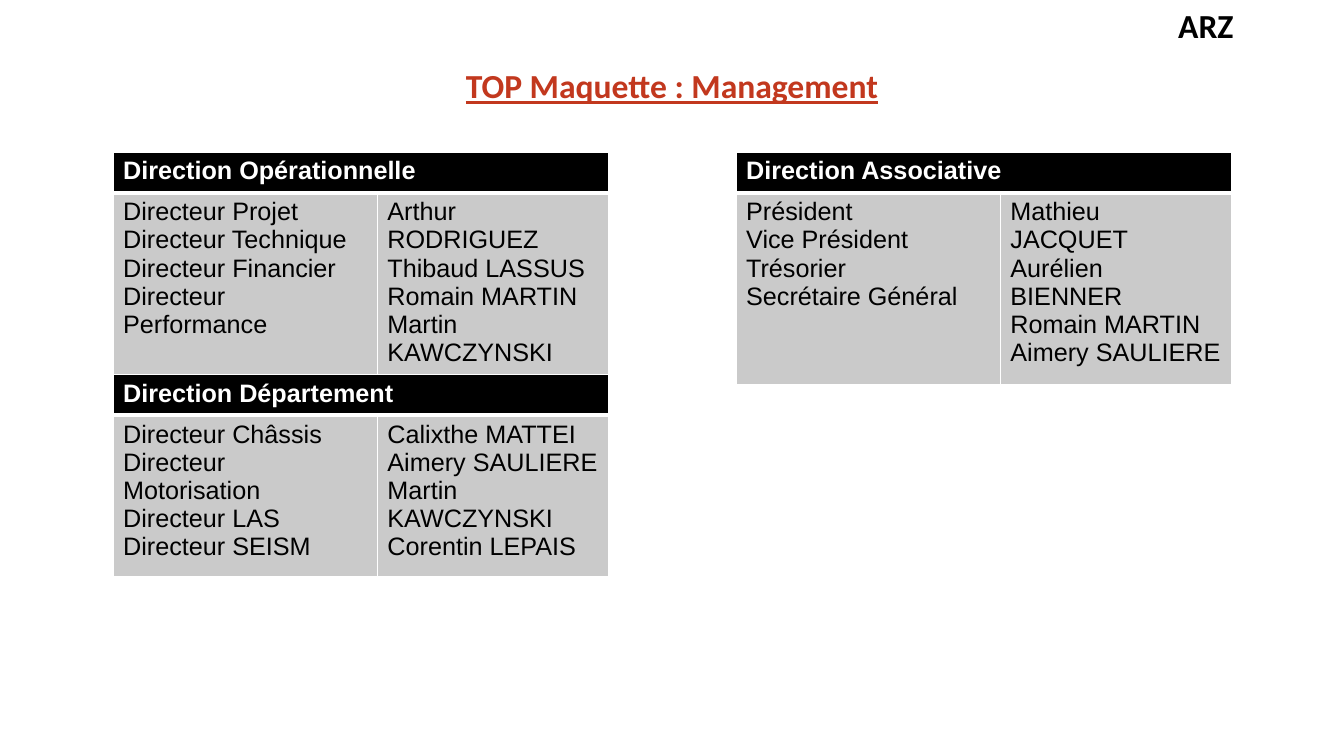
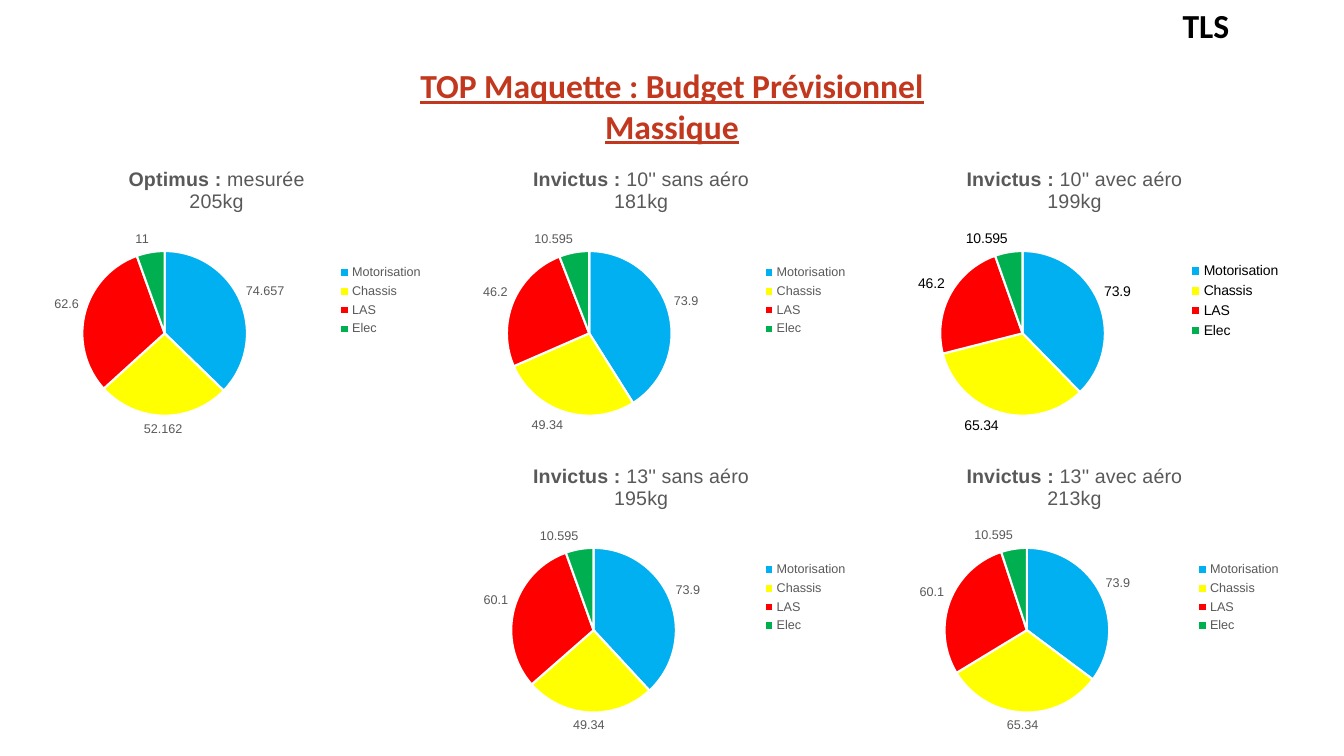
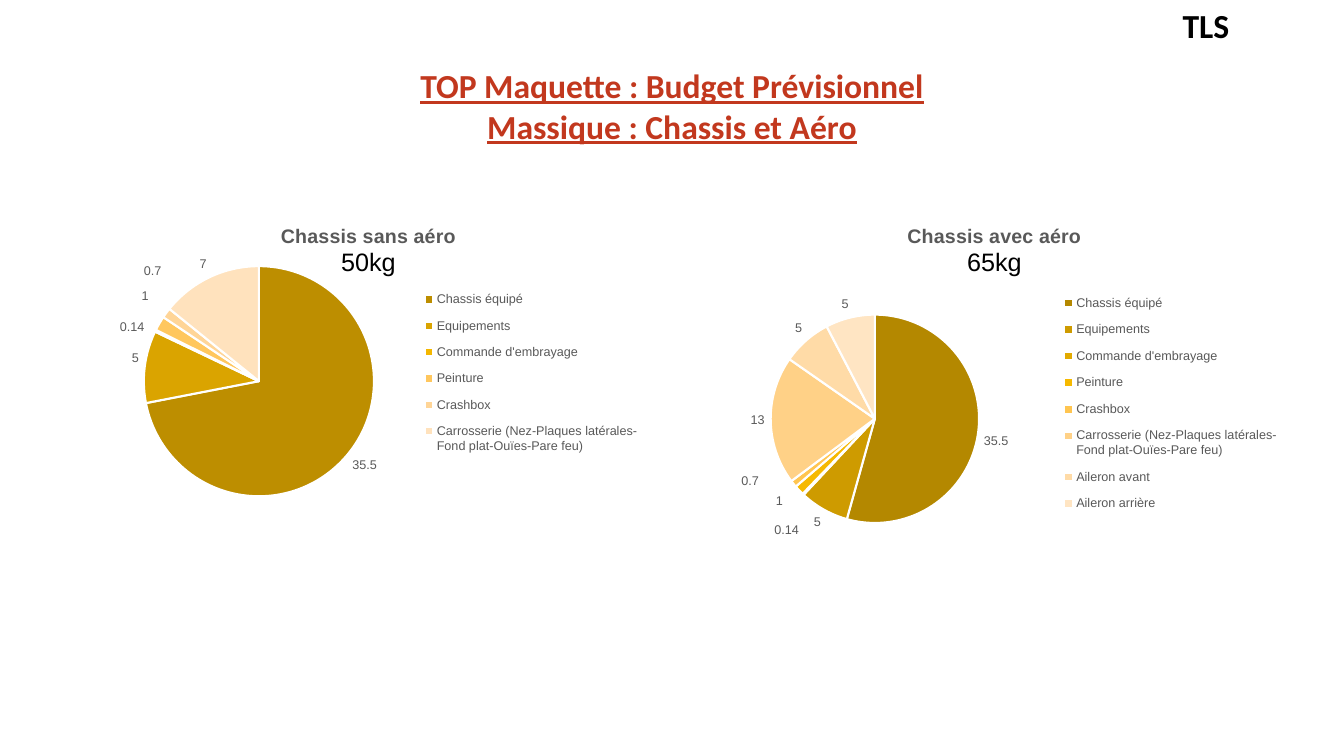
import pptx
import pptx.chart.data
import pptx.dml.color
import pptx.enum.chart
import pptx.enum.text
import pptx.oxml
import pptx.oxml.ns
import pptx.util
from lxml import etree
from pptx.dml.color import RGBColor
from pptx.util import Cm, Pt

BLACK = RGBColor(0x00, 0x00, 0x00)
WHITE = RGBColor(0xFF, 0xFF, 0xFF)
BRICK = RGBColor(0xC2, 0x38, 0x1E)
SILVER = RGBColor(0xCA, 0xCA, 0xCA)
GREY = RGBColor(0x59, 0x59, 0x59)

MASS_COLOURS = ["00B0F0", "FFFF00", "FF0000", "00B050"]
OCHRES_SIX = ["BD8E00", "DAA400", "F4B700", "FFC75E", "FFD597", "FFE2BD"]
OCHRES_EIGHT = ["B48800", "CE9B00", "E2AA00", "F6B900",
                "FFC550", "FFD187", "FFDBA7", "FFE5C3"]

MASS_PARTS = ["Motorisation", "Chassis", "LAS", "Elec"]
CHASSIS_PARTS = ["Chassis équipé", "Equipements", "Commande d'embrayage", "Peinture",
                 "Crashbox", "Carrosserie (Nez-Plaques latérales-Fond plat-Ouïes-Pare feu)"]
WING_PARTS = ["Aileron avant", "Aileron arrière"]

HEADING_FONT = "Calibri"
BODY_FONT = "Arial"
MASS_PLOTS = ((0.19, 0.33, 0.38, 0.56), (0.2, 0.33, 0.38, 0.56))


def style_font(font, name, size, colour, bold=False):
    font.name = name
    font.size = Pt(size)
    font.bold = bold
    font.color.rgb = colour


def add_span(para, text, name, size, colour, bold=False):
    span = para.add_run()
    span.text = text
    style_font(span.font, name, size, colour, bold)
    return span


def add_paragraph(frame, index):
    """Return the first paragraph of a frame, or a new one after it."""
    return frame.paragraphs[0] if index == 0 else frame.add_paragraph()


def add_slide(deck, title_lines, site):
    """Add a slide with its underlined title and the site code at top right."""
    slide = deck.slides.add_slide(deck.slide_layouts[5])
    title = slide.shapes.title
    title.left, title.top = Cm(0), Cm(1.52)
    title.width, title.height = deck.slide_width, Cm(0.23 + 1.04 * len(title_lines))
    frame = title.text_frame
    frame.auto_size = pptx.enum.text.MSO_AUTO_SIZE.NONE
    frame.vertical_anchor = pptx.enum.text.MSO_ANCHOR.TOP
    for index, line in enumerate(title_lines):
        para = add_paragraph(frame, index)
        para.alignment = pptx.enum.text.PP_ALIGN.CENTER
        add_span(para, line, HEADING_FONT, 24, BRICK, True).font.underline = True

    box = slide.shapes.add_textbox(Cm(29.24), Cm(0), Cm(2.3), Cm(1.27))
    box.text_frame.word_wrap = True
    para = box.text_frame.paragraphs[0]
    para.alignment = pptx.enum.text.PP_ALIGN.CENTER
    add_span(para, site, HEADING_FONT, 24, BLACK, True)
    return slide


def set_borders(cell, top, bottom):
    """Draw white cell borders; top and bottom are widths in points."""
    properties = cell._tc.get_or_add_tcPr()
    for side, width in (("L", 1), ("R", 1), ("T", top), ("B", bottom)):
        line = etree.SubElement(properties, pptx.oxml.ns.qn(f"a:ln{side}"), w=str(Pt(width)))
        fill = etree.SubElement(line, pptx.oxml.ns.qn("a:solidFill"))
        etree.SubElement(fill, pptx.oxml.ns.qn("a:srgbClr"), val=str(WHITE))


def fill_cell(cell, lines, colour, bold=False):
    for index, line in enumerate(lines):
        add_span(add_paragraph(cell.text_frame, index), line, BODY_FONT, 18, colour, bold)


def add_team_table(slide, left, top, heading, members):
    """Add a headed table with roles on the left and names on the right."""
    frame = slide.shapes.add_table(2, 2, Cm(left), Cm(top), Cm(12.48), Cm(2.06))
    table = frame.table
    table.first_row = table.horz_banding = False
    for column, width in zip(table.columns, (6.66, 5.82)):
        column.width = Cm(width)
    styles = ((BLACK, 1, 3), (SILVER, 3, 1))
    for row, (colour, above, below) in zip(table.rows, styles):
        for cell in row.cells:
            set_borders(cell, above, below)
            cell.fill.solid()
            cell.fill.fore_color.rgb = colour
    table.cell(0, 0).merge(table.cell(0, 1))
    fill_cell(table.cell(0, 0), [heading], WHITE, True)
    for column, lines in enumerate(zip(*members)):
        fill_cell(table.cell(1, column), lines, BLACK)
    frame.height = Cm(4.34)


def make_layout(**settings):
    """Build a manual chart layout from its settings."""
    layout = pptx.oxml.parse_xml(f"<c:layout {pptx.oxml.ns.nsdecls('c')}/>")
    manual = etree.SubElement(layout, pptx.oxml.ns.qn("c:manualLayout"))
    for name, value in settings.items():
        etree.SubElement(manual, pptx.oxml.ns.qn(f"c:{name}"), val=str(value))
    return layout


def place_part(chart, part, position, place, **target):
    """Place the plot area or legend by fractions of the chart's size."""
    element = chart.element.xpath(f"c:chart/c:{part}")[0]
    for layout in element.findall(pptx.oxml.ns.qn("c:layout")):
        element.remove(layout)
    element.insert(position, make_layout(**target, xMode="edge", yMode="edge",
                                         **dict(zip("xywh", place))))


def shift_label(chart, index, right, down, size, colour):
    """Move one value label by fractions of the chart's size."""
    label = chart.plots[0].series[0].points[index].data_label
    style_font(label.font, BODY_FONT, size, colour)
    label.position = pptx.enum.chart.XL_LABEL_POSITION.OUTSIDE_END
    element = chart.element.xpath(f"//c:ser/c:dLbls/c:dLbl[c:idx/@val='{index}']")[0]
    element.insert(1, make_layout(x=right, y=down))


def add_pie(slide, place, title, parts, values, colours, plot_place,
            size=9, colour=GREY, shifts=(), legend_place=None):
    """Add a pie; title lists lines, each made of (text, size, colour, bold)."""
    data = pptx.chart.data.CategoryChartData()
    data.categories = parts
    data.add_series("Series 1", values)
    chart = slide.shapes.add_chart(pptx.enum.chart.XL_CHART_TYPE.PIE,
                                   *map(Cm, place), data).chart
    style_font(chart.font, BODY_FONT, 10, BLACK)

    chart.has_title = True
    chart.chart_title.include_text_in_layout = False
    for index, line in enumerate(title):
        para = add_paragraph(chart.chart_title.text_frame, index)
        for text, *style in line:
            add_span(para, text, BODY_FONT, *style)

    chart.has_legend = True
    chart.legend.position = pptx.enum.chart.XL_LEGEND_POSITION.RIGHT
    chart.legend.include_in_layout = False
    style_font(chart.legend.font, BODY_FONT, size, colour)

    plot = chart.plots[0]
    plot.vary_by_categories = True
    series = plot.series[0]
    for index, slice_colour in enumerate(colours):
        shape = series.points[index].format
        shape.fill.solid()
        shape.fill.fore_color.rgb = RGBColor.from_string(slice_colour)
        shape.line.color.rgb = WHITE
        shape.line.width = Pt(1.5)

    labels = series.data_labels
    labels.show_value = True
    labels.position = pptx.enum.chart.XL_LABEL_POSITION.OUTSIDE_END
    style_font(labels.font, BODY_FONT, size, colour)
    for index, right, down in shifts:
        shift_label(chart, index, right, down, size, colour)
    for leaders in chart.element.xpath("//c:showLeaderLines"):
        leaders.set("val", "0")
    place_part(chart, "plotArea", 0, plot_place, layoutTarget="inner")
    if legend_place:
        place_part(chart, "legend", 1, legend_place)


def build_management(deck):
    slide = add_slide(deck, ["TOP Maquette : Management"], "ARZ")
    add_team_table(slide, 2.85, 3.83, "Direction Opérationnelle", [
        ("Directeur Projet", "Arthur RODRIGUEZ"),
        ("Directeur Technique", "Thibaud LASSUS"),
        ("Directeur Financier", "Romain MARTIN"),
        ("Directeur Performance", "Martin KAWCZYNSKI")])
    add_team_table(slide, 2.85, 9.43, "Direction Département", [
        ("Directeur Châssis", "Calixthe MATTEI"),
        ("Directeur Motorisation", "Aimery SAULIERE"),
        ("Directeur LAS", "Martin KAWCZYNSKI"),
        ("Directeur SEISM", "Corentin LEPAIS")])
    add_team_table(slide, 18.55, 3.83, "Direction Associative", [
        ("Président", "Mathieu JACQUET"),
        ("Vice Président", "Aurélien BIENNER"),
        ("Trésorier", "Romain MARTIN"),
        ("Secrétaire Général", "Aimery SAULIERE")])


def build_mass_budget(deck):
    slide = add_slide(deck, ["TOP Maquette : Budget Prévisionnel", "Massique"], "TLS")
    lefts, tops = (0, 10.7, 21.62), (3.84, 11.32)
    budgets = [
        (0, 0, "Optimus : ", "mesurée", "205kg", (74.657, 52.162, 62.6, 11), 9, GREY),
        (1, 0, "Invictus : ", "10'' sans aéro", "181kg", (73.9, 49.34, 46.2, 10.595), 9, GREY),
        (2, 0, "Invictus : ", "10'' avec aéro", "199kg", (73.9, 65.34, 46.2, 10.595), 10, BLACK),
        (1, 1, "Invictus : ", "13'' sans aéro", "195kg", (73.9, 49.34, 60.1, 10.595), 9, GREY),
        (2, 1, "Invictus : ", "13'' avec aéro", "213kg", (73.9, 65.34, 60.1, 10.595), 9, GREY),
    ]
    for column, row, car, version, mass, values, size, colour in budgets:
        title = [[(car, 14, GREY, True), (version, 14, GREY)], [(mass, 14, GREY)]]
        add_pie(slide, (lefts[column], tops[row], 10.92, 7.48), title, MASS_PARTS,
                values, MASS_COLOURS, MASS_PLOTS[row], size, colour)


def build_chassis_budget(deck):
    slide = add_slide(deck, ["TOP Maquette : Budget Prévisionnel",
                             "Massique : Chassis et Aéro"], "TLS")
    budgets = [
        (2.21, 14.15, "Chassis sans aéro", "50kg", CHASSIS_PARTS,
         (35.5, 5, 0.14, 1, 0.7, 7), OCHRES_SIX, (0.1, 0.12, 0.41, 0.77),
         ((2, -0.01, 0.02), (3, -0.01, -0.05), (4, 0, -0.09)), (0.59, 0.21, 0.4, 0.54)),
        (17.53, 15.06, "Chassis avec aéro", "65kg", CHASSIS_PARTS + WING_PARTS,
         (35.5, 5, 0.14, 1, 0.7, 13, 5, 5), OCHRES_EIGHT, (0.12, 0.31, 0.36, 0.61),
         ((2, 0, 0.07), (3, -0.02, 0), (4, -0.05, -0.04)), (0.6, 0.22, 0.39, 0.7)),
    ]
    for left, width, name, mass, parts, values, colours, plot, shifts, legend in budgets:
        title = [[(name, 14, GREY, True)], [(mass, 18, BLACK)]]
        add_pie(slide, (left, 5.26, width, 8.61), title, parts, values, colours,
                plot, shifts=shifts, legend_place=legend)


def main():
    deck = pptx.Presentation()
    deck.slide_width, deck.slide_height = Cm(33.87), Cm(19.05)
    build_management(deck)
    build_mass_budget(deck)
    build_chassis_budget(deck)
    deck.save("out.pptx")


if __name__ == "__main__":
    main()
